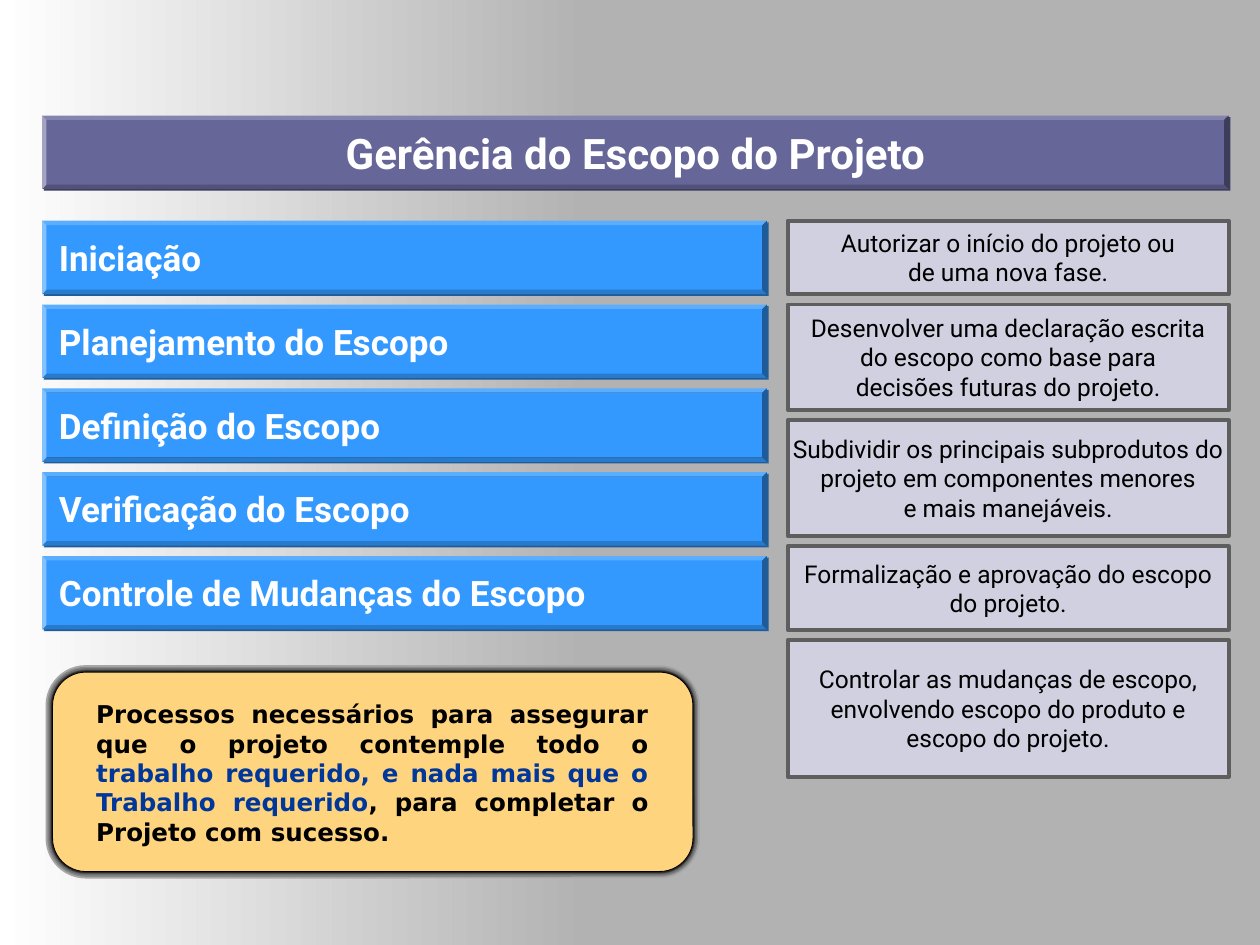
from typing import NamedTuple

from lxml.etree import SubElement
from pptx import Presentation
from pptx.dml.color import RGBColor
from pptx.enum.shapes import MSO_SHAPE as Preset
from pptx.enum.text import MSO_ANCHOR as Anchor, PP_ALIGN as Align
from pptx.oxml.ns import qn
from pptx.shapes.autoshape import Shape
from pptx.slide import Slide
from pptx.text.text import TextFrame
from pptx.util import Cm, Pt

WHITE = RGBColor(0xFF, 0xFF, 0xFF)
BLACK = RGBColor(0x00, 0x00, 0x00)
BACKDROP = RGBColor(0xB2, 0xB2, 0xB2)
PURPLE = RGBColor(0x66, 0x66, 0x99)
PURPLE_SHADE = RGBColor(0x3D, 0x3D, 0x5C)
BLUE = RGBColor(0x33, 0x99, 0xFF)
BLUE_SHADE = RGBColor(0x1F, 0x5C, 0x99)
LAVENDER = RGBColor(0xD0, 0xD0, 0xE0)
GREY = RGBColor(0x5E, 0x5E, 0x5E)
AMBER = RGBColor(0xFF, 0xD4, 0x7F)
NAVY = RGBColor(0x00, 0x37, 0x9A)


class Box(NamedTuple):
    """Left, top, width and height in centimetres."""
    left: float
    top: float
    width: float
    height: float


class Style(NamedTuple):
    size: float
    color: RGBColor
    bold: bool = False
    font: str = "Roboto"


class Description(NamedTuple):
    height: float
    lines: tuple[str, ...]


class Halo(NamedTuple):
    color: RGBColor
    width: float


TITLE_STYLE = Style(24, WHITE, True)
PROCESS_STYLE = Style(20, WHITE, True)
DESCRIPTION_STYLE = Style(14, BLACK)
STATEMENT_STYLE = Style(14, BLACK, True, "DejaVu Sans")

TITLE_BAR = Box(0.85, 2.33, 23.92, 1.48)
FIRST_PROCESS = Box(0.85, 4.45, 14.61, 1.48)
PROCESS_PITCH = 1.69
PROCESSES = (
    "Iniciação",
    "Planejamento do Escopo",
    "Definição do Escopo",
    "Verificação do Escopo",
    "Controle de Mudanças do Escopo",
)

DESCRIPTION_LEFT, DESCRIPTION_WIDTH, DESCRIPTION_GAP = 15.88, 8.89, 0.21
DESCRIPTIONS = (
    Description(1.48, ("Autorizar o início do projeto ou", "de uma nova fase.")),
    Description(2.12, ("Desenvolver uma declaração escrita", "do escopo como base para",
                       "decisões futuras do projeto.")),
    Description(2.33, ("Subdividir os principais subprodutos do",
                       "projeto em componentes menores", "e mais manejáveis.")),
    Description(1.69, ("Formalização e aprovação do escopo", "do projeto.")),
    Description(2.75, ("Controlar as mudanças de escopo,", "envolvendo escopo do produto e",
                       "escopo do projeto.")),
)

STATEMENT_PANEL = Box(1.06, 13.55, 12.91, 4.02)
STATEMENT_TEXT = Box(1.69, 13.97, 11.64, 3.23)
HALOS = (
    Halo(RGBColor(0xA7, 0xA7, 0xA7), 8),
    Halo(RGBColor(0x8A, 0x8A, 0x8A), 6),
    Halo(RGBColor(0x72, 0x72, 0x72), 4.5),
    Halo(GREY, 3),
    Halo(RGBColor(0x40, 0x40, 0x40), 2.25),
    Halo(RGBColor(0x29, 0x29, 0x29), 1.5),
    Halo(BLACK, 0.5),
)
STATEMENT = (
    ("Processos necessários para assegurar que o projeto contemple todo o ", BLACK),
    ("trabalho requerido, e nada mais que o Trabalho requerido", NAVY),
    (", para completar o Projeto com sucesso.", BLACK),
)


def add_run(paragraph, text: str, style: Style) -> None:
    run = paragraph.add_run()
    run.text = text
    run.font.name = style.font
    run.font.size = Pt(style.size)
    run.font.bold = style.bold
    run.font.color.rgb = style.color


def write_lines(frame: TextFrame, lines: tuple[str, ...], style: Style, align: Align) -> None:
    frame.word_wrap = False
    frame.vertical_anchor = Anchor.MIDDLE
    for index, line in enumerate(lines):
        paragraph = frame.add_paragraph() if index else frame.paragraphs[0]
        paragraph.alignment = align
        add_run(paragraph, line, style)


def add_panel(slide: Slide, preset: Preset, box: Box, fill: RGBColor,
              line: Halo | None = None) -> Shape:
    panel = slide.shapes.add_shape(preset, *map(Cm, box))
    panel.shadow.inherit = False
    panel.fill.solid()
    panel.fill.fore_color.rgb = fill
    if line:
        panel.line.color.rgb = line.color
        panel.line.width = Pt(line.width)
    else:
        panel.line.fill.background()
    return panel


def add_bevel(slide: Slide, box: Box, fill: RGBColor, shade: RGBColor) -> Shape:
    """Add a bevelled bar with a sharp shadow to the lower right."""
    bar = add_panel(slide, Preset.BEVEL, box, fill)
    bar.adjustments[0] = 0.06
    effects = bar._element.spPr.find(qn("a:effectLst"))
    shadow = SubElement(effects, qn("a:outerShdw"), blurRad="0", dist=str(Pt(1.4)),
                        dir="2700000", algn="ctr", rotWithShape="0")
    SubElement(shadow, qn("a:srgbClr"), val=str(shade))
    return bar


def add_backdrop(slide: Slide) -> None:
    slide.background.fill.solid()
    slide.background.fill.fore_color.rgb = BACKDROP
    fade = add_panel(slide, Preset.RECTANGLE, Box(0, 0, 11.85, 19.05), WHITE)
    fade.fill.gradient()
    fade.fill.gradient_angle = 0
    for stop, color, position in zip(fade.fill.gradient_stops, (WHITE, BACKDROP), (0, 1)):
        stop.color.rgb = color
        stop.position = position


def add_title(slide: Slide) -> None:
    add_bevel(slide, TITLE_BAR, PURPLE, PURPLE_SHADE)
    title = slide.shapes.title
    title.left, title.top, title.width, title.height = map(Cm, TITLE_BAR)
    write_lines(title.text_frame, ("Gerência do Escopo do Projeto",), TITLE_STYLE, Align.CENTER)
    title.text_frame.word_wrap = True
    slide.shapes._spTree.append(title._element)  # in front of its bar


def add_processes(slide: Slide) -> None:
    for row, process in enumerate(PROCESSES):
        box = FIRST_PROCESS._replace(top=FIRST_PROCESS.top + row * PROCESS_PITCH)
        bar = add_bevel(slide, box, BLUE, BLUE_SHADE)
        write_lines(bar.text_frame, (process,), PROCESS_STYLE, Align.LEFT)


def add_descriptions(slide: Slide) -> None:
    top = FIRST_PROCESS.top
    for description in DESCRIPTIONS:
        box = Box(DESCRIPTION_LEFT, top, DESCRIPTION_WIDTH, description.height)
        panel = add_panel(slide, Preset.RECTANGLE, box, LAVENDER, Halo(GREY, 2.25))
        write_lines(panel.text_frame, description.lines, DESCRIPTION_STYLE, Align.CENTER)
        top += description.height + DESCRIPTION_GAP


def add_statement(slide: Slide) -> None:
    for halo in HALOS:
        add_panel(slide, Preset.ROUNDED_RECTANGLE, STATEMENT_PANEL, AMBER, halo)
    frame = slide.shapes.add_textbox(*map(Cm, STATEMENT_TEXT)).text_frame
    frame.word_wrap = True
    paragraph = frame.paragraphs[0]
    paragraph.alignment = Align.JUSTIFY
    for text, color in STATEMENT:
        add_run(paragraph, text, STATEMENT_STYLE._replace(color=color))


def main() -> None:
    deck = Presentation()
    deck.slide_width, deck.slide_height = Cm(25.4), Cm(19.05)
    slide = deck.slides.add_slide(deck.slide_layouts.get_by_name("Title Only"))
    add_backdrop(slide)
    add_title(slide)
    add_processes(slide)
    add_statement(slide)
    add_descriptions(slide)
    deck.save("out.pptx")


if __name__ == "__main__":
    main()
